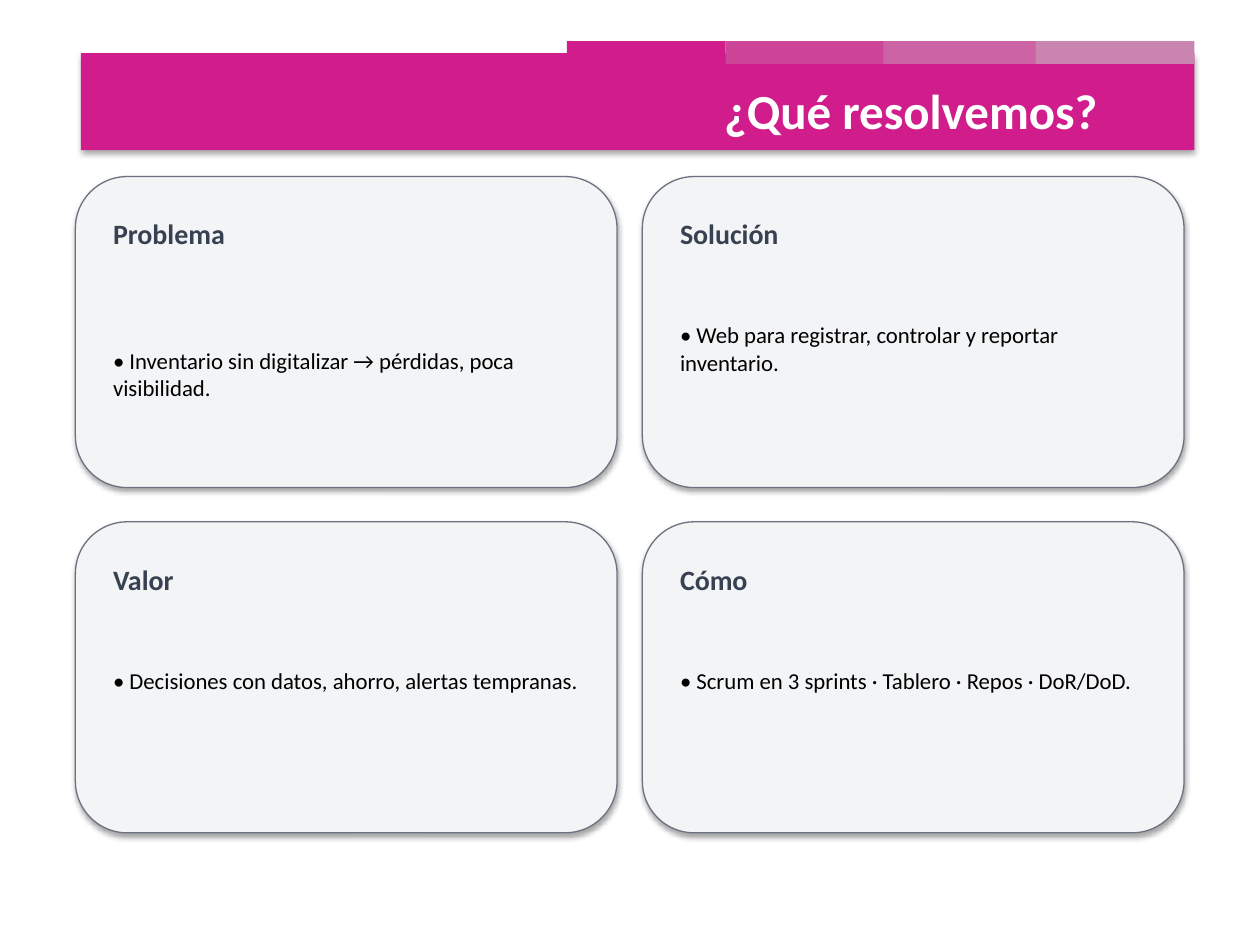
from lxml import etree
from pptx import Presentation
from pptx.dml.color import RGBColor
from pptx.enum import shapes, text
from pptx.oxml import ns
from pptx.util import Cm, Pt

MAGENTA = "D11D8B"
TITLE = {"name": "Calibri", "size": Pt(28), "bold": True}
HEADING = {"name": "Calibri", "size": Pt(16), "bold": True}
BODY = {"name": "Calibri", "size": Pt(13), "bold": False}


def colour(value):
    return RGBColor.from_string(value)


def add_shadow(shape):
    """Soft shadow falling straight down."""
    effects = shape._element.spPr.find(ns.qn("a:effectLst"))
    shadow = etree.SubElement(effects, ns.qn("a:outerShdw"), blurRad="40000",
                              dist="23000", dir="5400000", rotWithShape="0")
    black = etree.SubElement(shadow, ns.qn("a:srgbClr"), val="000000")
    etree.SubElement(black, ns.qn("a:alpha"), val="35000")


def add_block(slide, kind, box, fill, line=None, shadow=False):
    shape = slide.shapes.add_shape(kind, *map(Cm, box))
    shape.shadow.inherit = False
    shape.fill.solid()
    shape.fill.fore_color.rgb = colour(fill)
    if line:
        shape.line.color.rgb = colour(line)
        shape.line.width = Pt(0.75)
    else:
        shape.line.fill.background()
    if shadow:
        add_shadow(shape)


def add_text(slide, box, words, font_format, font_colour,
             auto_size=text.MSO_AUTO_SIZE.SHAPE_TO_FIT_TEXT):
    frame = slide.shapes.add_textbox(*map(Cm, box)).text_frame
    frame.word_wrap = True
    frame.auto_size = auto_size
    paragraph = frame.paragraphs[0]
    run = paragraph.add_run()
    run.text = words
    for name, value in font_format.items():
        setattr(run.font, name, value)
    run.font.color.rgb = colour(font_colour)


def add_header(slide, left, top, width, height):
    rectangle = shapes.MSO_SHAPE.RECTANGLE
    # Title bar
    add_block(slide, rectangle, (left, top, width, height), MAGENTA, shadow=True)
    # Fading tabs along the top edge
    tabs = ((9.8, MAGENTA), (13, "CD4599"), (16.18, "CC63A5"), (19.25, "C984B0"))
    for offset, fill in tabs:
        add_block(slide, rectangle, (left + offset, top - 0.24, 3.2, 0.46), fill)
    # Title
    add_text(slide, (left + 12.72, top + 0.43, 9.02, 1.02), "¿Qué resolvemos?",
             TITLE, "FFFFFF", text.MSO_AUTO_SIZE.NONE)


def add_card(slide, left, top, width, height, heading, body, body_offset):
    add_block(slide, shapes.MSO_SHAPE.ROUNDED_RECTANGLE,
              (left, top, width, height), "F3F4F6", "6B7280", shadow=True)
    text_left, text_width = left + 0.51, width - 1.02
    add_text(slide, (text_left, top + 0.69, text_width, 0.94),
             heading, HEADING, "374151")
    add_text(slide, (text_left, top + body_offset, text_width, 0.81),
             body, BODY, "000000")


def add_card_grid(slide, left, top, width, height):
    gap_x, gap_y = 0.51, 0.69
    card_width, card_height = (width - gap_x) / 2, (height - gap_y) / 2
    cards = (
        ("Problema", "• Inventario sin digitalizar → pérdidas, poca visibilidad.", 3.3),
        ("Solución", "• Web para registrar, controlar y reportar inventario.", 2.79),
        ("Valor", "• Decisiones con datos, ahorro, alertas tempranas.", 2.79),
        ("Cómo", "• Scrum en 3 sprints · Tablero · Repos · DoR/DoD.", 2.79),
    )
    for index, card in enumerate(cards):
        row, column = divmod(index, 2)
        add_card(slide, left + column * (card_width + gap_x),
                 top + row * (card_height + gap_y), card_width, card_height, *card)


def main():
    presentation = Presentation()
    presentation.slide_width, presentation.slide_height = Cm(25.4), Cm(19.05)
    slide = presentation.slides.add_slide(presentation.slide_layouts[6])
    add_header(slide, 1.63, 1.07, 22.45, 1.96)
    add_card_grid(slide, 1.52, 3.56, 22.35, 13.23)
    presentation.save("out.pptx")


if __name__ == "__main__":
    main()
